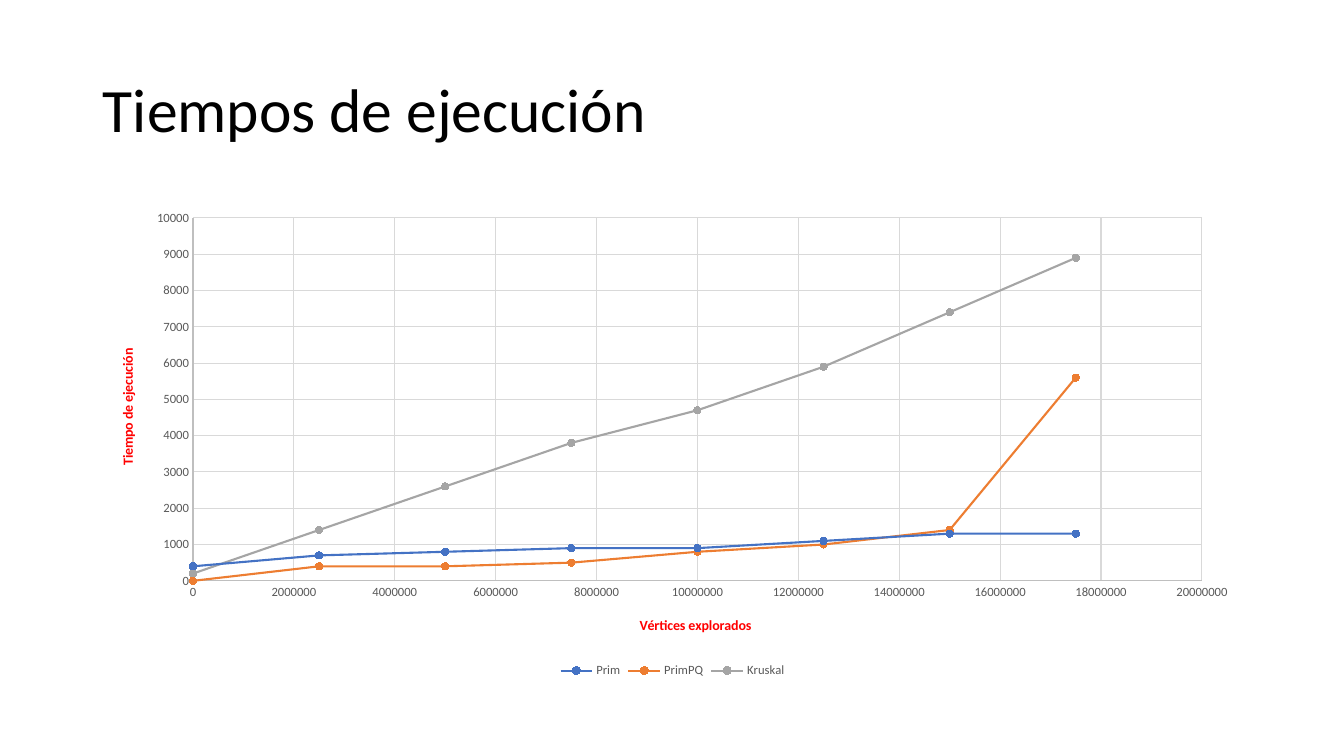
import pptx
import pptx.chart.data
import pptx.dml.color
import pptx.enum.chart
import pptx.enum.text
import pptx.oxml
import pptx.oxml.ns
import pptx.util

RGBColor = pptx.dml.color.RGBColor
BLACK = RGBColor(0x00, 0x00, 0x00)
RED = RGBColor(0xFF, 0x00, 0x00)
TEXT_GRAY = RGBColor(0x59, 0x59, 0x59)
AXIS_GRAY = RGBColor(0xBF, 0xBF, 0xBF)
GRID_GRAY = RGBColor(0xD9, 0xD9, 0xD9)
BLUE = RGBColor(0x44, 0x72, 0xC4)
ORANGE = RGBColor(0xED, 0x7D, 0x31)
GRAY = RGBColor(0xA5, 0xA5, 0xA5)
FONT = "Calibri"
CHART_LEFT, CHART_TOP, CHART_W, CHART_H = 93, 202, 1159, 480


def px(n):
    return pptx.util.Emu(round(n * 914400 / 100.8))


def place(parent, index, left, top, width=None, height=None):
    """Fix a chart part at a slide position given in px."""
    for old in parent.findall(pptx.oxml.ns.qn("c:layout")):
        parent.remove(old)
    parts = [("xMode", "edge"), ("yMode", "edge"),
             ("x", round((left - CHART_LEFT) / CHART_W, 4)),
             ("y", round((top - CHART_TOP) / CHART_H, 4))]
    if width:
        parts.insert(0, ("layoutTarget", "inner"))
        parts += [("w", round(width / CHART_W, 4)), ("h", round(height / CHART_H, 4))]
    body = "".join(f'<c:{tag} val="{val}"/>' for tag, val in parts)
    parent.insert(index, pptx.oxml.parse_xml(
        f'<c:layout {pptx.oxml.ns.nsdecls("c")}><c:manualLayout>{body}'
        '</c:manualLayout></c:layout>'))


prs = pptx.Presentation()
prs.slide_width, prs.slide_height = px(1344), px(756)
s = prs.slides.add_slide(prs.slide_layouts[6])

# Title
tf = s.shapes.add_textbox(px(93), px(40), px(1159), px(146)).text_frame
tf.word_wrap = True
tf.vertical_anchor = pptx.enum.text.MSO_ANCHOR.MIDDLE
p = tf.paragraphs[0]
p.text = "Tiempos de ejecución"
p.line_spacing = 0.9
p.font.name, p.font.size = FONT, pptx.util.Pt(44)
p.font.color.rgb = BLACK

# Chart data: one measurement every 2.5 million vertices
times = [
    ("Prim", BLUE, [400, 700, 800, 900, 900, 1100, 1300, 1300]),
    ("PrimPQ", ORANGE, [0, 400, 400, 500, 800, 1000, 1400, 5600]),
    ("Kruskal", GRAY, [200, 1400, 2600, 3800, 4700, 5900, 7400, 8900]),
]
data = pptx.chart.data.XyChartData()
for name, color, values in times:
    series = data.add_series(name)
    for i, value in enumerate(values):
        series.add_data_point(i * 2500000, value)

chart = s.shapes.add_chart(
    pptx.enum.chart.XL_CHART_TYPE.XY_SCATTER_LINES,
    px(CHART_LEFT), px(CHART_TOP), px(CHART_W), px(CHART_H), data).chart
chart.has_title = False
chart.font.name, chart.font.size = FONT, pptx.util.Pt(10)
chart.font.color.rgb = BLACK
plot = chart.plots[0]
plot.vary_by_categories = False
place(chart._chartSpace.chart.plotArea, 0, 193, 218, 1009, 363)

# Series
for series, (name, color, values) in zip(plot.series, times):
    series.smooth = False
    series.format.line.color.rgb = color
    series.format.line.width = pptx.util.Pt(1.5)
    marker = series.marker
    marker.style = pptx.enum.chart.XL_MARKER_STYLE.CIRCLE
    marker.size = 5
    marker.format.fill.solid()
    marker.format.fill.fore_color.rgb = color
    marker.format.line.color.rgb = color

# Axes
for axis, title, top_value, step, left, top in [
        (chart.category_axis, "Vértices explorados", 20000000, 2000000, 637, 614),
        (chart.value_axis, "Tiempo de ejecución", 10000, 1000, 116, 346)]:
    axis.minimum_scale, axis.maximum_scale, axis.major_unit = 0, top_value, step
    axis.major_tick_mark = axis.minor_tick_mark = pptx.enum.chart.XL_TICK_MARK.NONE
    axis.tick_labels.number_format = "General"
    axis.tick_labels.number_format_is_linked = False
    font = axis.tick_labels.font
    font.name, font.size = FONT, pptx.util.Pt(9)
    font.color.rgb = TEXT_GRAY
    axis.has_major_gridlines = True
    for line, color in [(axis.format.line, AXIS_GRAY),
                        (axis.major_gridlines.format.line, GRID_GRAY)]:
        line.color.rgb = color
        line.width = pptx.util.Pt(0.75)
    p = axis.axis_title.text_frame.paragraphs[0]
    p.text = title
    p.font.name, p.font.size, p.font.bold = FONT, pptx.util.Pt(10), True
    p.font.color.rgb = RED
    place(axis.axis_title._element, 1, left, top)
chart.value_axis.axis_title.text_frame._txBody.bodyPr.set("rot", "-5400000")

# Legend
chart.has_legend = True
legend = chart.legend
legend.position = pptx.enum.chart.XL_LEGEND_POSITION.BOTTOM
legend.include_in_layout = False
legend.font.name, legend.font.size = FONT, pptx.util.Pt(9)
legend.font.color.rgb = TEXT_GRAY

prs.save("out.pptx")
